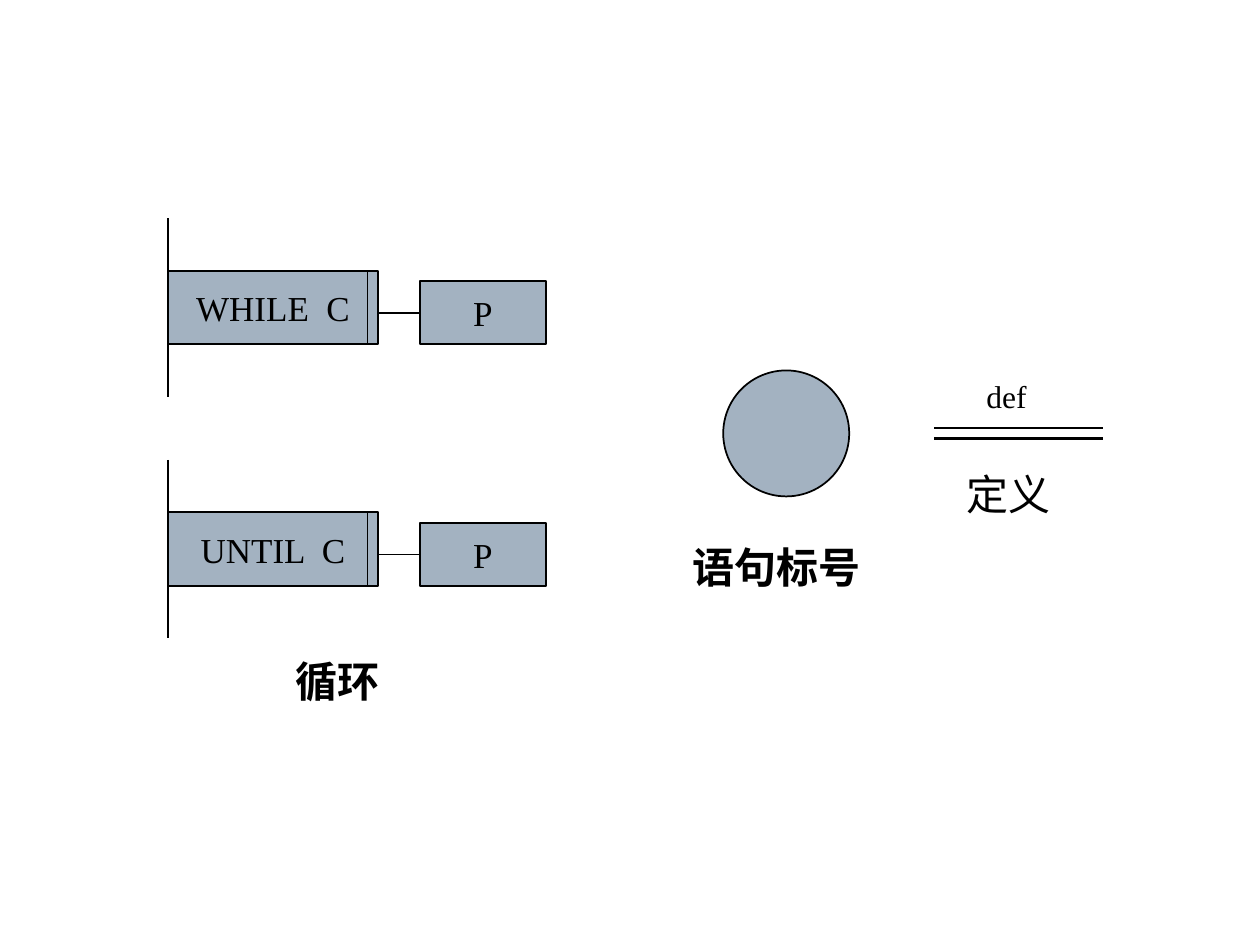
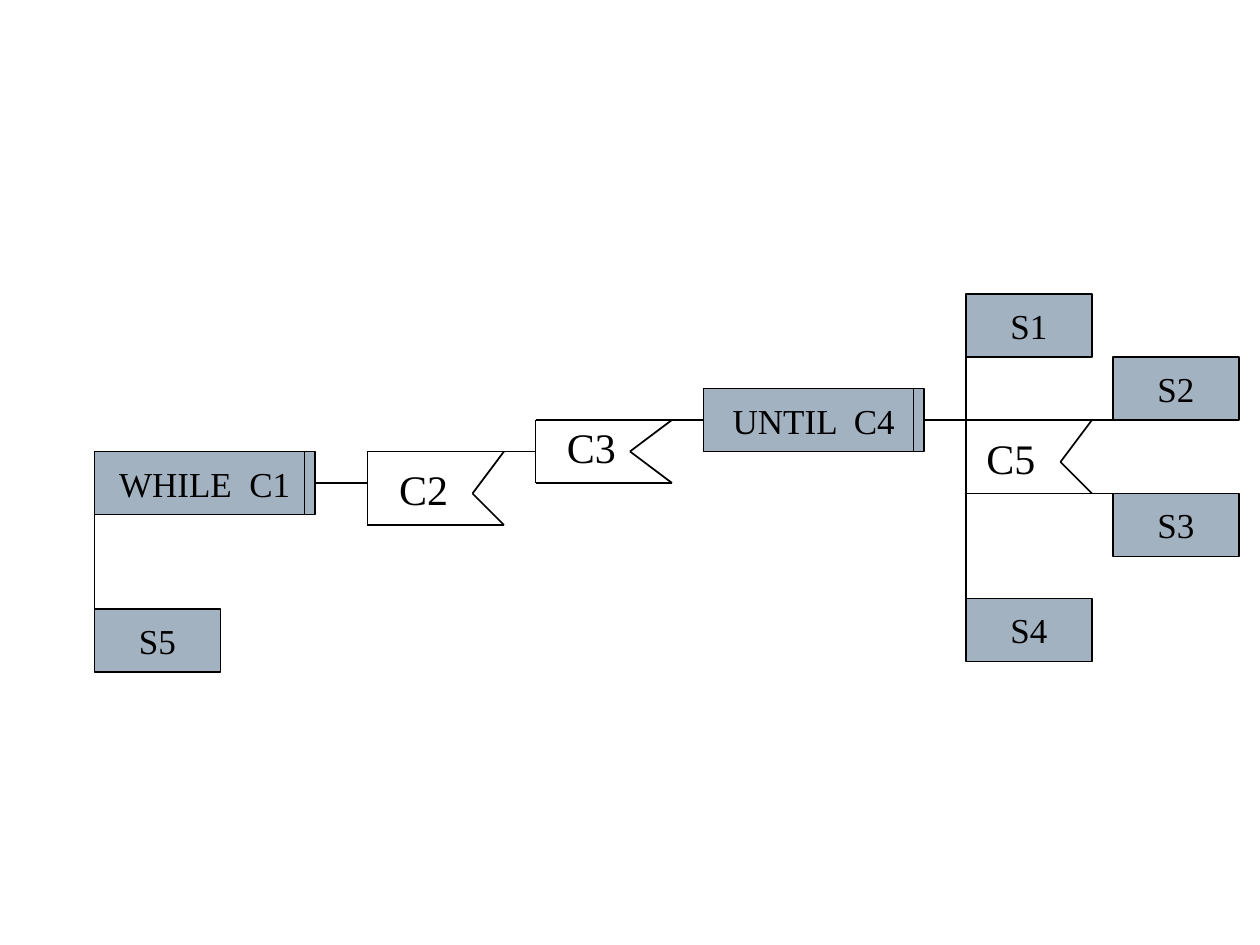
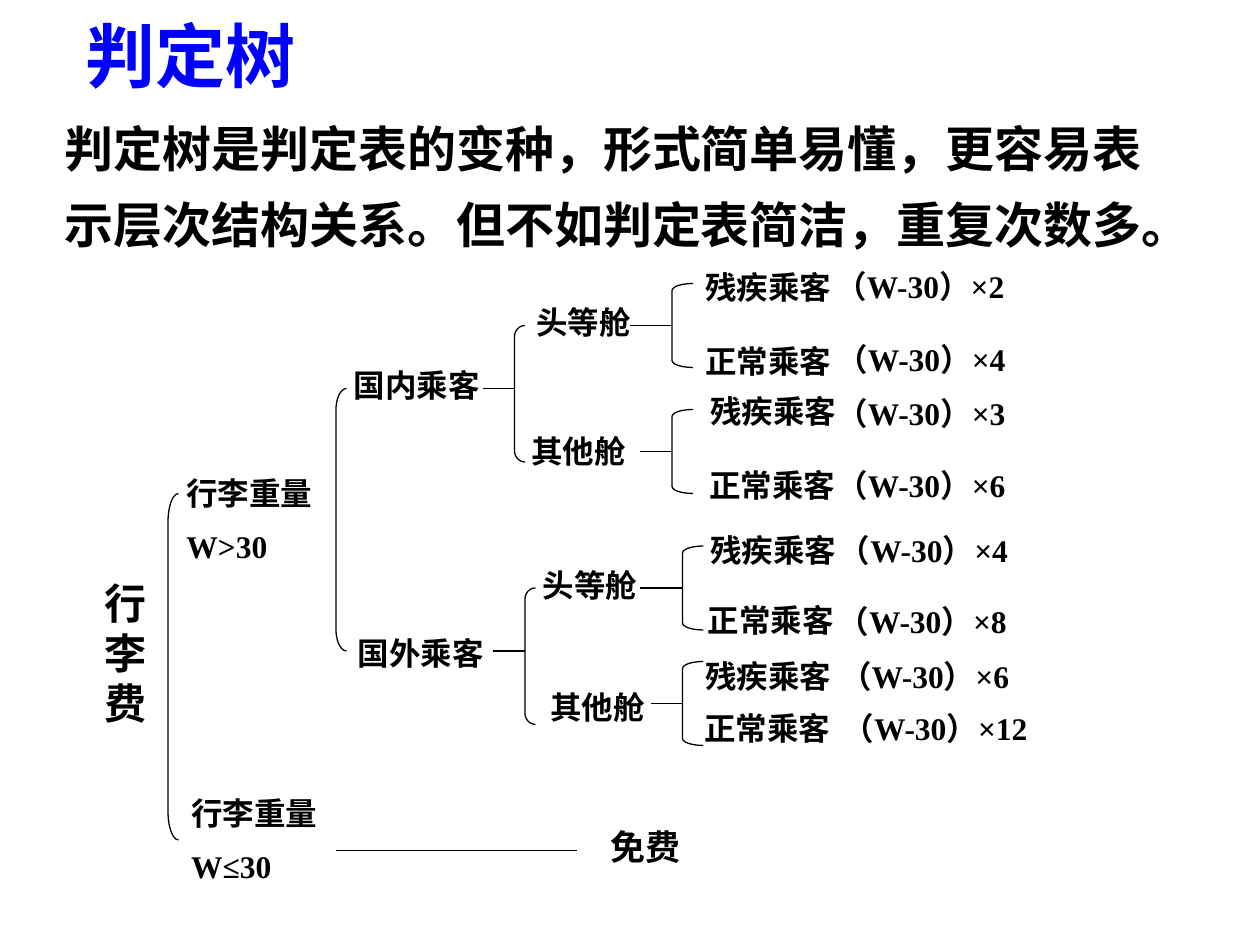
from itertools import cycle, pairwise

from lxml.etree import SubElement
from pptx import Presentation
from pptx.dml.color import RGBColor
from pptx.enum.shapes import MSO_CONNECTOR as Connector, MSO_SHAPE as Preset
from pptx.enum.text import MSO_ANCHOR as Anchor, MSO_AUTO_SIZE as AutoSize, PP_ALIGN as Align
from pptx.oxml.ns import qn
from pptx.util import Pt

COLOURS = {"ink": "000000", "block": "A3B2C1", "title": "0000FF"}
LATIN = "Times New Roman"
CHINESE = "Noto Sans CJK SC"
STEP_WIDTH, STEP_HEIGHT = 72, 36


def colour(name):
    return RGBColor.from_string(COLOURS[name])


def style_text(para, size, bold=False, ink="ink", face=LATIN):
    font = para.font
    font.size, font.bold, font.name = Pt(size), bold, face
    font.color.rgb = colour(ink)
    defaults = para._p.pPr.find(qn("a:defRPr"))
    SubElement(defaults, qn("a:ea")).set("typeface", CHINESE)


def add_label(page, text, left, top, width, height, size=18, bold=True,
              wrap=True, ink="ink", face=LATIN, spacing=None):
    box = page.shapes.add_textbox(Pt(left), Pt(top), Pt(width), Pt(height))
    frame = box.text_frame
    frame.word_wrap = wrap
    frame.auto_size = AutoSize.SHAPE_TO_FIT_TEXT
    for index, line in enumerate(text.split("\n")):
        para = frame.paragraphs[0] if index == 0 else frame.add_paragraph()
        para.text = line
        if index:
            para.space_before = Pt(size / 2)
        if spacing:
            para.line_spacing = spacing
        style_text(para, size, bold, ink, face)


def add_lines(page, *points, weight=1):
    for (x1, y1), (x2, y2) in pairwise(points):
        line = page.shapes.add_connector(
            Connector.STRAIGHT, Pt(x1), Pt(y1), Pt(x2), Pt(y2))
        line.line.color.rgb = colour("ink")
        line.line.width = Pt(weight)
        SubElement(line._element.spPr, qn("a:effectLst"))


def add_outline(page, preset, left, top, width, height, weight=1):
    shape = page.shapes.add_shape(preset, Pt(left), Pt(top), Pt(width), Pt(height))
    shape.shadow.inherit = False
    shape.line.color.rgb = colour("ink")
    shape.line.width = Pt(weight)
    return shape


def add_block(page, text, left, top, width=STEP_WIDTH, height=STEP_HEIGHT,
              preset=Preset.RECTANGLE):
    block = add_outline(page, preset, left, top, width, height)
    block.fill.solid()
    block.fill.fore_color.rgb = colour("block")
    if text:
        frame = block.text_frame
        frame.word_wrap = False
        frame.vertical_anchor = Anchor.MIDDLE
        para = frame.paragraphs[0]
        para.text = text
        para.alignment = Align.CENTER
        style_text(para, 20)


def add_loop(page, text, left, top, width, height):
    add_block(page, text, left, top, width, height)
    divider = left + width - 6
    add_lines(page, (divider, top), (divider, top + height))


def add_branch(page, text, text_at, left, right, top, bottom, notch, top_exit, bottom_exit):
    add_lines(page, (left, top), (top_exit, top))
    add_lines(page, (left, bottom), (bottom_exit, bottom))
    add_lines(page, (right, top), notch, (right, bottom))
    add_label(page, text, *text_at, 42.5, 36, size=24, bold=False, wrap=False)


def add_bracket(page, left, top, width, height):
    bracket = add_outline(page, Preset.LEFT_BRACKET, left, top, width, height, 0.75)
    bracket.fill.background()
    bracket.adjustments[0] = height / width / 12


def add_fork(page, stem, left, top, width, height, drop):
    add_bracket(page, left, top, width, height)
    add_lines(page, (stem, top + drop), (left, top + drop), weight=0.75)


def build_symbols(page):
    for text, top in (("WHILE  C", 154.8), ("UNTIL  C", 292.8)):
        add_loop(page, text, 96, top, 120, 42)
        add_lines(page, (96, top - 30), (96, top + 72))
        add_lines(page, (216, top + 24), (240, top + 24))
        add_block(page, "P", 240, top + 6)
    add_block(page, "", 413.3, 211.7, 72, 72, Preset.OVAL)
    for y in (244.6, 250.6):
        add_lines(page, (534, y), (630, y), weight=1.5)
    add_label(page, "循环", 162, 370.8, 62.6, 36, size=24, wrap=False)
    add_label(page, "语句标号", 388.8, 306, 110.9, 36, size=24, wrap=False)
    add_label(page, "定义", 545, 264.2, 62.6, 36, size=24, bold=False, wrap=False)
    add_label(page, "def", 556.6, 211.7, 37.4, 28.8, bold=False, wrap=False)


def build_example(page):
    steps = (("S5", 54, 348), ("S3", 636, 282), ("S1", 552, 168),
             ("S2", 636, 204), ("S4", 552, 342))
    for text, left, top in steps:
        add_block(page, text, left, top)
    add_loop(page, "WHILE  C1", 54, 258, 126, 36)
    add_loop(page, "UNTIL  C4", 402, 222, 126, 36)
    add_branch(page, "C2", (221, 261.4), 210, 288, 258, 300, (270, 282), 306, 288)
    add_branch(page, "C3", (316.8, 237.6), 306, 384, 240, 276, (360, 258), 402, 384)
    add_branch(page, "C5", (556.6, 243.4), 552, 624, 240, 282, (606, 264), 636, 636)
    for x, top, bottom in ((54, 258, 348), (210, 258, 300), (306, 240, 276), (552, 168, 342)):
        add_lines(page, (x, top), (x, bottom))
    for left, right, y in ((180, 210, 276), (528, 552, 240)):
        add_lines(page, (left, y), (right, y))


def build_tree(page):
    add_label(page, "判定树", 42, 3.6, 192, 55.4, size=40, ink="title", face=CHINESE)
    add_label(page, "判定树是判定表的变种，形式简单易懂，更容易表示层次结构关系。但不如判定表简洁，重复次数多。",
              30, 54, 636, 96, size=28, spacing=1.3)

    fares = (
        (396, 149.8, 470.2, 149, "2"), (396, 192.2, 470.9, 190.8, "4"),
        (398.9, 220.3, 470.9, 221.8, "3"), (398.2, 262.8, 470.9, 262.8, "6"),
        (398.9, 300.2, 472.3, 300.2, "4"), (397.4, 339.8, 471.6, 340.6, "8"),
        (396, 372.2, 473, 372.2, "6"), (395.3, 401.8, 474.5, 401.8, "12"),
    )
    passengers = cycle(("残疾乘客", "正常乘客"))
    for passenger, (left, top, fare_left, fare_top, factor) in zip(passengers, fares):
        add_label(page, passenger, left, top, 90, 28.8)
        width = 126 + 12 * (len(factor) - 1)
        add_label(page, f"（W-30）×{factor}", fare_left, fare_top, width, 28.8)

    cabins = ((299.5, 169.9), (296.6, 243.4), (303.1, 319.7), (307.4, 389.5))
    for cabin, (left, top) in zip(cycle(("头等舱", "其他舱")), cabins):
        add_label(page, cabin, left, top, 72, 28.8)
    add_label(page, "国内乘客", 195.1, 205.9, 96, 28.8)
    add_label(page, "国外乘客", 197.3, 358.6, 96, 28.8)
    add_label(page, "行李重量\nW>30", 99.4, 267.1, 90, 61.2)
    add_label(page, "行李重量\nW≤30", 102.2, 450, 90, 61.2)
    add_label(page, "免费", 342, 468, 60, 31, size=20)
    add_label(page, "行李费", 52.6, 326.2, 42, 93.6, size=24)

    for stem, left, top in ((360, 384, 162), (366, 384, 234), (366, 390, 312), (372, 390, 378)):
        add_fork(page, stem, left, top, 12, 48, 24)
    for stem, left, top in ((276, 294, 186), (282, 300, 336)):
        add_fork(page, stem, left, top, 6, 78, 36)
    add_bracket(page, 192, 222, 6, 150)
    add_bracket(page, 96, 282, 6, 198)
    add_lines(page, (192, 486), (330, 486), weight=0.75)


def main():
    deck = Presentation()
    deck.slide_width, deck.slide_height = Pt(720), Pt(540)
    for build in (build_symbols, build_example, build_tree):
        build(deck.slides.add_slide(deck.slide_layouts[6]))
    deck.save("out.pptx")


if __name__ == "__main__":
    main()
